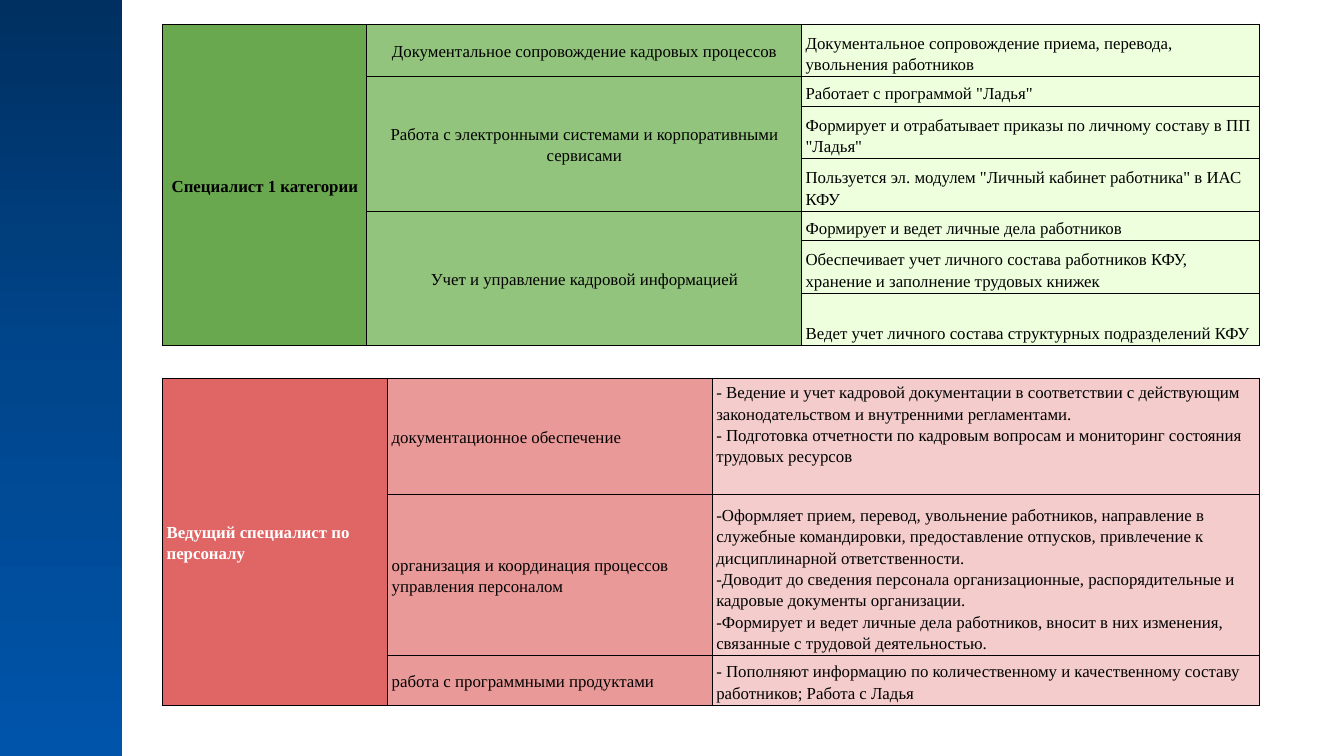
"""Build a slide with two tables of personnel duties beside a gradient side band."""
from copy import deepcopy
from dataclasses import dataclass
from typing import Any, Optional

from lxml import etree
from pptx import Presentation
from pptx import util as u
from pptx.dml.color import RGBColor
from pptx.enum import shapes, text
from pptx.oxml import ns

WIDTH = u.Inches(10)
HEIGHT = u.Emu(WIDTH * 9 // 16)
BLACK, WHITE = RGBColor(0, 0, 0), RGBColor(255, 255, 255)
GREEN, MID_GREEN, PALE_GREEN = (RGBColor.from_string(c) for c in ("6AA84F", "93C47D", "EEFFDE"))
RED, MID_RED, PALE_RED = (RGBColor.from_string(c) for c in ("E06666", "EA9999", "F4CCCC"))
BAND = {0: RGBColor(0x00, 0x30, 0x61), 0.5: RGBColor(0x00, 0x46, 0x8D), 1: RGBColor(0x00, 0x54, 0xAA)}
LEFT, CENTER = text.PP_ALIGN.LEFT, text.PP_ALIGN.CENTER
TOP, MIDDLE, BOTTOM = text.MSO_ANCHOR.TOP, text.MSO_ANCHOR.MIDDLE, text.MSO_ANCHOR.BOTTOM
CELL_MARGINS = {"margin_left": u.Inches(0.03), "margin_right": u.Inches(0.03),
                "margin_top": u.Inches(0.02), "margin_bottom": u.Inches(0.02)}
FONT = {"name": "Times New Roman", "size": u.Pt(9)}


@dataclass(frozen=True)
class Entry:
    """Wording of a cell and the number of rows it covers."""
    wording: str
    span: int = 1
    anchor: Optional[text.MSO_ANCHOR] = None


@dataclass(frozen=True)
class Column:
    """Column with its width as a percentage of the slide width."""
    width: float
    fill: RGBColor
    entries: tuple[Entry, ...]
    align: text.PP_ALIGN = LEFT
    anchor: text.MSO_ANCHOR = MIDDLE
    color: RGBColor = BLACK
    bold: bool = False


@dataclass(frozen=True)
class Position:
    """Job table with top and row heights as percentages of the slide width."""
    top: float
    rows: tuple[float, ...]
    columns: tuple[Column, ...]


SPECIALIST = Position(1.8, (3.92, 2.18, 3.92, 3.92, 2.18, 3.92, 3.92), (
    Column(15.2, GREEN, (Entry("Специалист 1 категории", 7),), CENTER, bold=True),
    Column(32.35, MID_GREEN, (
        Entry("Документальное сопровождение кадровых процессов"),
        Entry("Работа с электронными системами и корпоративными сервисами", 3),
        Entry("Учет и управление кадровой информацией", 3),
    ), CENTER),
    Column(34.1, PALE_GREEN, (
        Entry("Документальное сопровождение приема, перевода, увольнения работников"),
        Entry('Работает с программой "Ладья"'),
        Entry('Формирует и отрабатывает приказы по личному составу в ПП "Ладья"'),
        Entry('Пользуется эл. модулем "Личный кабинет работника" в ИАС КФУ'),
        Entry("Формирует и ведет личные дела работников"),
        Entry("Обеспечивает учет личного состава работников КФУ, "
              "хранение и заполнение трудовых книжек"),
        Entry("Ведет учет личного состава структурных подразделений КФУ"),
    ), anchor=BOTTOM),
))
LEAD_SPECIALIST = Position(28.15, (8.65, 12, 3.7), (
    Column(16.75, RED, (Entry("Ведущий специалист по персоналу", 3),), color=WHITE, bold=True),
    Column(24.15, MID_RED, (
        Entry("документационное обеспечение"),
        Entry("организация и координация процессов управления персоналом"),
        Entry("работа с программными продуктами"),
    )),
    Column(40.75, PALE_RED, (
        Entry("- Ведение и учет кадровой документации в соответствии с действующим "
              "законодательством и внутренними регламентами.\n"
              "- Подготовка отчетности по кадровым вопросам и мониторинг состояния "
              "трудовых ресурсов", anchor=TOP),
        Entry("-Оформляет прием, перевод, увольнение работников, направление в служебные "
              "командировки, предоставление отпусков, привлечение к дисциплинарной "
              "ответственности.\n"
              "-Доводит до сведения персонала организационные, распорядительные и кадровые "
              "документы организации.\n"
              "-Формирует и ведет личные дела работников, вносит в них изменения, связанные "
              "с трудовой деятельностью."),
        Entry("- Пополняют информацию по количественному и качественному составу "
              "работников; Работа с Ладья"),
    ), anchor=BOTTOM),
))


def share(percent: float) -> u.Emu:
    """Return a percentage of the slide width as a length."""
    return u.Emu(round(WIDTH * percent / 100))


def apply(target: Any, values: dict[str, Any]) -> None:
    """Set each named format value on the target."""
    for name, value in values.items():
        setattr(target, name, value)


def draw_band(slide: Any) -> None:
    """Draw the gradient band down the left edge."""
    band = slide.shapes.add_shape(shapes.MSO_SHAPE.RECTANGLE, 0, 0, share(9.1), HEIGHT)
    band.shadow.inherit = False
    band.line.fill.background()
    band.fill.gradient()
    band.fill.gradient_angle = 270
    first_stop = next(band._element.spPr.iter(ns.qn("a:gs")))
    first_stop.addnext(deepcopy(first_stop))
    for stop, (position, color) in zip(band.fill.gradient_stops, BAND.items()):
        stop.position = position
        stop.color.rgb = color


def outline(cell: Any) -> None:
    """Give the cell thin black borders on all sides."""
    properties = cell._tc.get_or_add_tcPr()
    for side in ("lnL", "lnR", "lnT", "lnB"):
        border = etree.SubElement(properties, ns.qn(f"a:{side}"), w=str(u.Pt(0.6)))
        solid = etree.SubElement(border, ns.qn("a:solidFill"))
        etree.SubElement(solid, ns.qn("a:srgbClr"), val=str(BLACK))


def write_entry(cell: Any, entry: Entry, column: Column) -> None:
    """Write the entry in the format of its column."""
    cell.text_frame.text = entry.wording
    cell.vertical_anchor = column.anchor if entry.anchor is None else entry.anchor
    for paragraph in cell.text_frame.paragraphs:
        apply(paragraph, {"alignment": column.align, "line_spacing": 1.15})
        for run in paragraph.runs:
            apply(run.font, {**FONT, "bold": column.bold})
            run.font.color.rgb = column.color


def draw_position(slide: Any, position: Position) -> None:
    """Draw one job table with merged cells."""
    width = sum(column.width for column in position.columns)
    table = slide.shapes.add_table(
        len(position.rows), len(position.columns), share(12.1), share(position.top),
        share(width), share(sum(position.rows))).table
    apply(table, {"first_row": False, "horz_banding": False})
    for row, height in zip(table.rows, position.rows):
        row.height = share(height)
    for c, column in enumerate(position.columns):
        table.columns[c].width = share(column.width)
        for r in range(len(position.rows)):
            cell = table.cell(r, c)
            apply(cell, CELL_MARGINS)
            outline(cell)
            cell.fill.solid()
            cell.fill.fore_color.rgb = column.fill
        start = 0
        for entry in column.entries:
            cell = table.cell(start, c)
            if entry.span > 1:
                cell.merge(table.cell(start + entry.span - 1, c))
            write_entry(cell, entry, column)
            start += entry.span


def main() -> None:
    """Build and save the presentation."""
    deck = Presentation()
    apply(deck, {"slide_width": WIDTH, "slide_height": HEIGHT})
    slide = deck.slides.add_slide(deck.slide_layouts[6])
    draw_band(slide)
    for position in (SPECIALIST, LEAD_SPECIALIST):
        draw_position(slide, position)
    deck.save("out.pptx")


if __name__ == "__main__":
    main()
